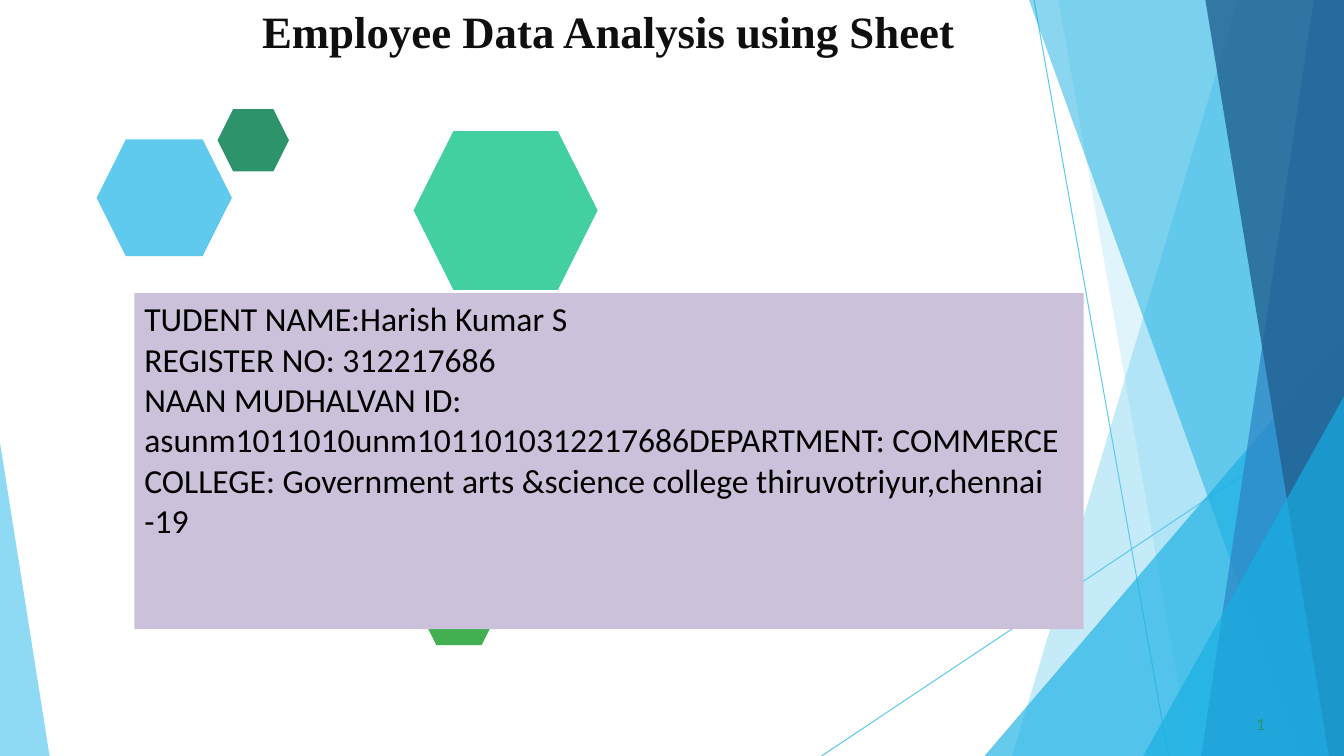
import dataclasses

import pptx
import pptx.dml.color
import pptx.enum.shapes
import pptx.enum.text
import pptx.oxml
import pptx.oxml.ns
import pptx.util

COLUMNS, ROWS = 160, 90
SHAPES = pptx.enum.shapes.MSO_SHAPE


@dataclasses.dataclass(frozen=True)
class Theme:
    sky: str = "5FCAEE"
    cyan: str = "17AFE3"
    blue: str = "2D83C3"
    navy: str = "226192"
    mint: str = "42D0A1"
    forest: str = "2D936B"
    green: str = "42AF51"
    lilac: str = "CCC1DA"
    ink: str = "0F0F0F"
    black: str = "000000"
    title_size: int = 32
    body_size: int = 24
    number_size: int = 11
    hairline: float = 0.75
    title_font: str = "Times New Roman"
    body_font: str = "Calibri"
    number_font: str = "Lato"


def write_text(frame, text, *, size, font, color, bold=False, before=0, insets=None):
    frame.word_wrap = True
    frame.auto_size = pptx.enum.text.MSO_AUTO_SIZE.NONE
    frame.vertical_anchor = pptx.enum.text.MSO_ANCHOR.TOP
    if insets is not None:
        frame.margin_left, frame.margin_top, frame.margin_right, frame.margin_bottom = (
            pptx.util.Inches(inset) for inset in insets
        )
    frame.text = text
    for paragraph in frame.paragraphs:
        paragraph.alignment = pptx.enum.text.PP_ALIGN.LEFT
        paragraph.space_before = pptx.util.Pt(before)
        paragraph.font.size = pptx.util.Pt(size)
        paragraph.font.name = font
        paragraph.font.bold = bold
        paragraph.font.color.rgb = pptx.dml.color.RGBColor.from_string(color)


class SlideBuilder:
    def __init__(self, deck, theme):
        self.theme = theme
        self.column = deck.slide_width / COLUMNS
        self.row = deck.slide_height / ROWS
        self.slide = deck.slides.add_slide(deck.slide_layouts[5])

    def place(self, column, row):
        return round(column * self.column), round(row * self.row)

    def paint(self, shape, color, opacity=100):
        shape.shadow.inherit = False
        shape.line.fill.background()
        shape.fill.solid()
        shape.fill.fore_color.rgb = pptx.dml.color.RGBColor.from_string(color)
        if opacity < 100:
            tint = shape.fill._xPr.find(".//" + pptx.oxml.ns.qn("a:srgbClr"))
            alpha = pptx.oxml.parse_xml(
                f'<a:alpha {pptx.oxml.ns.nsdecls("a")} val="{opacity * 1000}"/>'
            )
            tint.append(alpha)

    def title(self, text, column, row, width, height):
        heading = self.slide.shapes.title
        heading.left, heading.top = self.place(column, row)
        heading.width, heading.height = self.place(width, height)
        write_text(
            heading.text_frame, text, size=self.theme.title_size,
            font=self.theme.title_font, color=self.theme.ink, bold=True,
            before=1.3, insets=(0, 0.02, 0, 0),
        )

    def ray(self, start, end):
        ray = self.slide.shapes.add_connector(
            pptx.enum.shapes.MSO_CONNECTOR.STRAIGHT, *self.place(*start), *self.place(*end)
        )
        ray.line.color.rgb = pptx.dml.color.RGBColor.from_string(self.theme.sky)
        ray.line.width = pptx.util.Pt(self.theme.hairline)
        ray._element.spPr.append(
            pptx.oxml.parse_xml(f'<a:effectLst {pptx.oxml.ns.nsdecls("a")}/>')
        )

    def facet(self, corners, color, opacity):
        first, *others = [self.place(*corner) for corner in corners]
        outline = self.slide.shapes.build_freeform(*first)
        outline.add_line_segments(others, close=True)
        self.paint(outline.convert_to_shape(), color, opacity)

    def block(self, kind, column, row, width, height, color):
        block = self.slide.shapes.add_shape(
            kind, *self.place(column, row), *self.place(width, height)
        )
        self.paint(block, color)
        return block

    def card(self, text, *box):
        card = self.block(SHAPES.RECTANGLE, *box, self.theme.lilac)
        write_text(
            card.text_frame, text, size=self.theme.body_size,
            font=self.theme.body_font, color=self.theme.black,
        )

    def page_number(self, text, column, row, width, height):
        number = self.slide.shapes.add_textbox(
            *self.place(column, row), *self.place(width, height)
        )
        write_text(
            number.text_frame, text, size=self.theme.number_size,
            font=self.theme.number_font, color=self.theme.forest,
            before=0.6, insets=(0.04, 0.01, 0, 0),
        )


def main():
    theme = Theme()
    deck = pptx.Presentation()
    deck.slide_width = pptx.util.Inches(13.33)
    deck.slide_height = pptx.util.Inches(7.5)
    cover = SlideBuilder(deck, theme)

    cover.ray((123.1, 0), (139.1, ROWS))
    cover.ray((COLUMNS, 48.5), (97.8, ROWS))

    for top_row, top_column, bottom_column, color, opacity in (
        (0, 147.4, 120.5, theme.sky, 36),
        (0, 126, 141.8, theme.sky, 20),
        (40, COLUMNS, 117.2, theme.cyan, 66),
        (0, 122.5, 154.9, theme.cyan, 50),
        (0, 156.4, 143, theme.blue, 70),
        (0, 143.5, 158.2, theme.navy, 80),
        (47.2, COLUMNS, 136.1, theme.cyan, 66),
    ):
        cover.facet(
            [(COLUMNS, top_row), (top_column, top_row), (bottom_column, ROWS), (COLUMNS, ROWS)],
            color, opacity,
        )
    cover.facet([(0, 52.7), (0, ROWS), (5.9, ROWS)], theme.sky, 70)

    for column, row, width, height, color in (
        (11.5, 16.6, 16.1, 13.9, theme.sky),
        (25.9, 13, 8.5, 7.4, theme.forest),
        (49.25, 15.6, 21.9, 18.9, theme.mint),
        (49.9, 68.6, 9.5, 8.2, theme.green),
    ):
        cover.block(SHAPES.HEXAGON, column, row, width, height, color)

    cover.title("Employee Data Analysis using Sheet", 31.2, 0.2, 88.9, 13.2)
    cover.page_number("1", 149.1, 85, 2.5, 2.5)
    cover.card(
        "TUDENT NAME:Harish Kumar S\n"
        "REGISTER NO: 312217686\n"
        "NAAN MUDHALVAN ID: asunm1011010unm1011010312217686DEPARTMENT: COMMERCE\n"
        "COLLEGE: Government arts &science college thiruvotriyur,chennai -19",
        16, 34.9, 113, 40,
    )
    deck.save("out.pptx")


if __name__ == "__main__":
    main()
